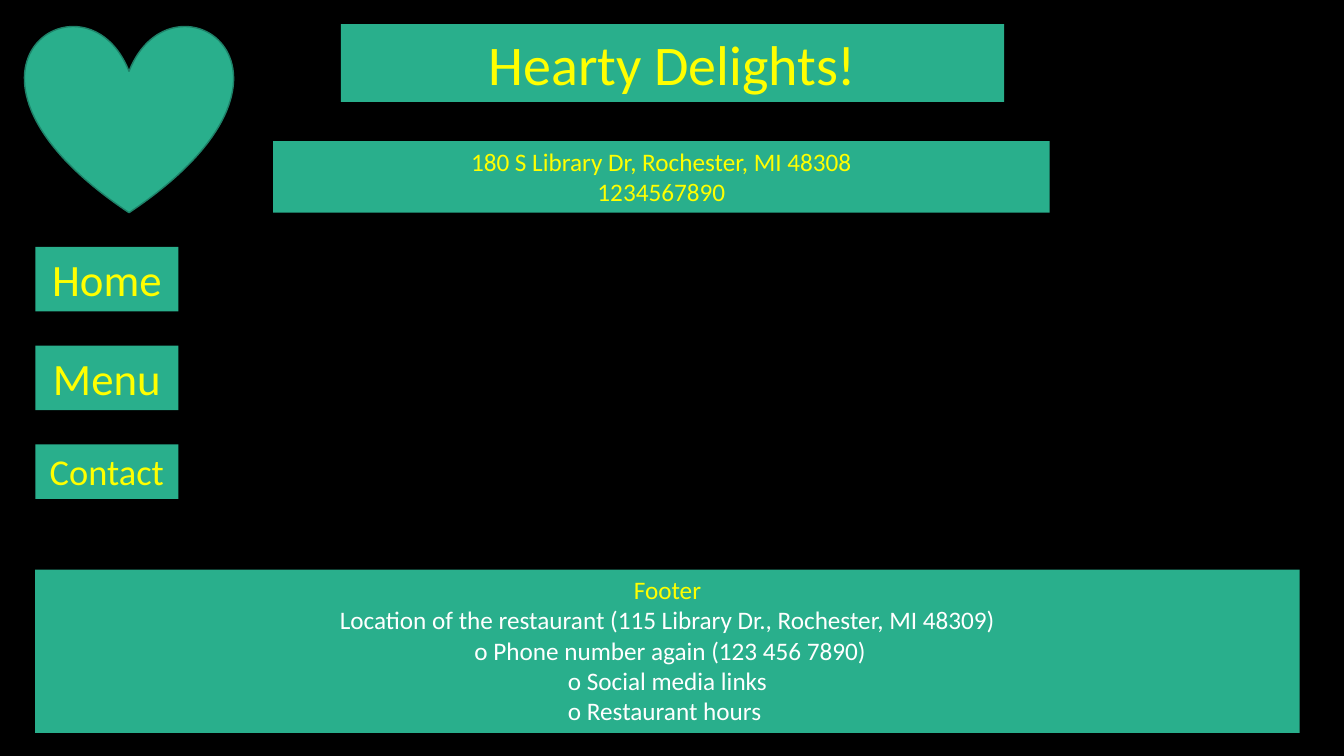
from pptx import Presentation
from pptx import util as u
from pptx.dml.color import RGBColor
from pptx.enum import shapes, text

HUES = {"back": "000000", "teal": "29AF8C", "edge": "1E8168",
        "gold": "FFFF00", "white": "FFFFFF"}


class Page:
    """Holds the style and the current slide."""

    font = "Calibri"

    def __init__(self, deck):
        """Add a blank slide with a plain background."""
        self.slide = deck.slides.add_slide(deck.slide_layouts[6])
        self.paint(self.slide.background.fill, "back")

    def paint(self, fill, hue):
        """Make a fill solid in a named colour."""
        fill.solid()
        fill.fore_color.rgb = RGBColor.from_string(HUES[hue])

    def heart(self, *box):
        """Draw the outlined heart."""
        heart = self.slide.shapes.add_shape(
            shapes.MSO_SHAPE.HEART, *map(u.Inches, box))
        heart.shadow.inherit = False
        self.paint(heart.fill, "teal")
        self.paint(heart.line.fill, "edge")
        heart.line.width = u.Pt(1)

    def label(self, box, size, lines):
        """Draw a teal box of centred lines, each a (words, hue) pair."""
        label = self.slide.shapes.add_textbox(*map(u.Inches, box))
        self.paint(label.fill, "teal")
        frame = label.text_frame
        frame.word_wrap = True
        frame.auto_size = text.MSO_AUTO_SIZE.SHAPE_TO_FIT_TEXT
        frame.text = "\n".join(words for words, _ in lines)
        for para, (_, hue) in zip(frame.paragraphs, lines):
            para.alignment = text.PP_ALIGN.CENTER
            para.font.size = u.Pt(size)
            for run in para.runs:
                run.font.name = self.font
                run.font.size = u.Pt(size)
                self.paint(run.font.fill, hue)


deck = Presentation()
deck.slide_width, deck.slide_height = u.Inches(13.33), u.Inches(7.5)
page = Page(deck)

page.label((3.38, 0.24, 6.58, 0.77), 40, [("Hearty Delights!", "gold")])
page.label((2.71, 1.4, 7.7, 0.71), 18, [
    ("180 S Library Dr, Rochester, MI 48308", "gold"),
    ("1234567890", "gold")])

menu = [("Home", 32, 0.64), ("Menu", 32, 0.64), ("Contact", 26, 0.54)]
for row, (name, size, height) in enumerate(menu):
    page.label((0.35, 2.45 + 0.98 * row, 1.42, height), size,
               [(name, "gold")])

page.label((0.35, 5.65, 12.54, 1.62), 18, [
    ("Footer", "gold"),
    ("Location of the restaurant (115 Library Dr., Rochester, MI 48309)",
     "white"),
    (" o Phone number again (123 456 7890)\vo Social media links"
     "\vo Restaurant hours ", "white")])
page.heart(0.25, 0.24, 2.06, 1.87)

deck.save("out.pptx")
